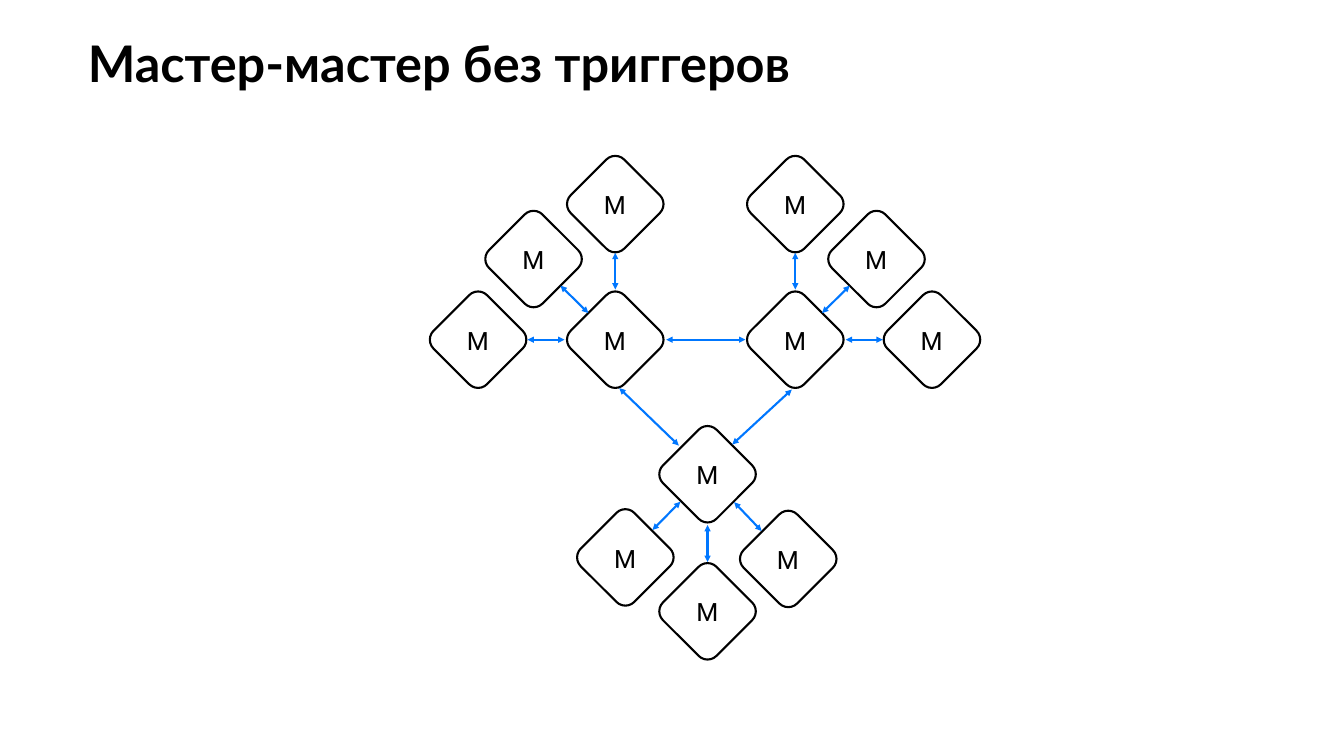
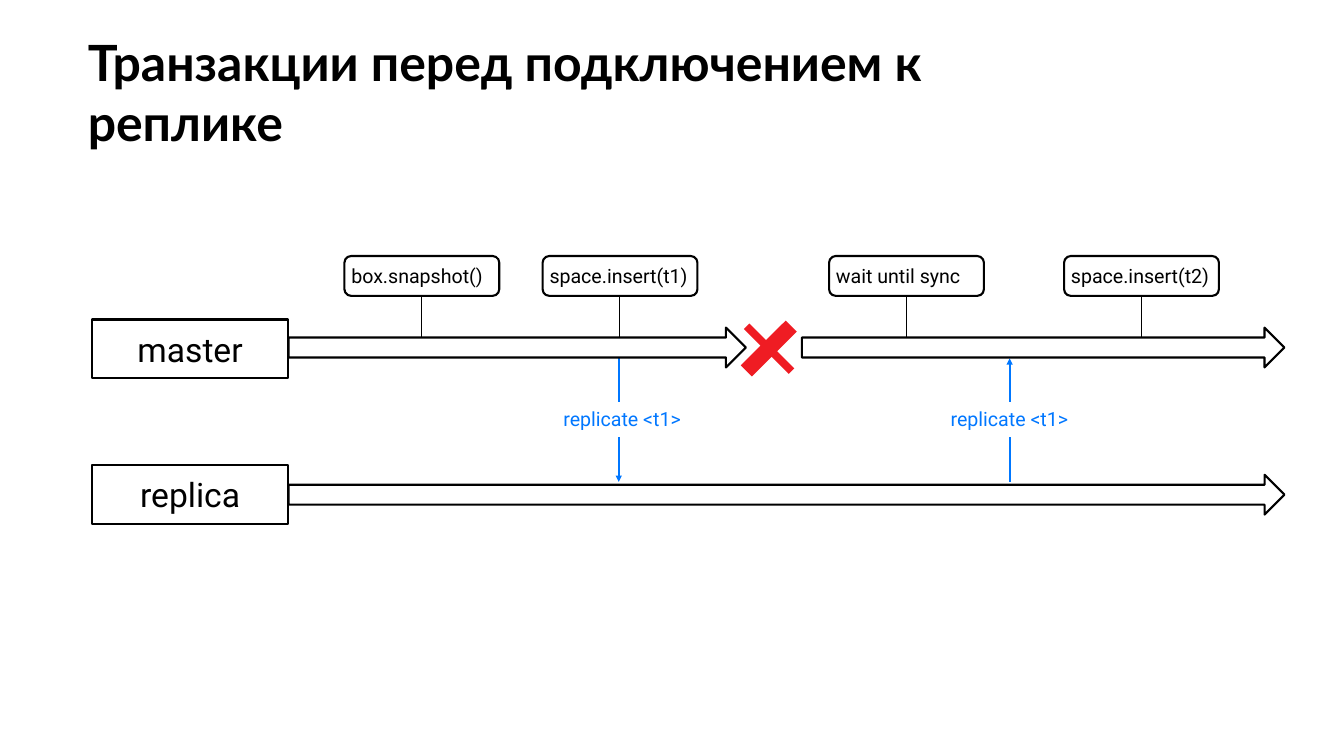
from itertools import product

from lxml import etree
from pptx import Presentation
from pptx import util as u
from pptx.dml.color import RGBColor
from pptx.enum import shapes as es, text as et
from pptx.oxml.ns import qn

# Shared grid (square cells of one inch), colours and fonts
COLS, ROWS = 26.65, 15
INK, PAPER, BLUE, RED = "000000", "FFFFFF", "0077FF", "EF1C23"
HEAD, BODY = "Lato", "Roboto"
SHAPE, ALIGN, ANCHOR = es.MSO_SHAPE, et.PP_ALIGN, et.MSO_ANCHOR


def cell(n):
    return u.Inches(n)


def tint(target, color):
    target.rgb = RGBColor.from_string(color)


def write(shape, words, size, color=INK, font=BODY, bold=False,
          align=ALIGN.CENTER, anchor=ANCHOR.MIDDLE, pad=(0.1, 0.1), wrap=True):
    frame = shape.text_frame
    frame.text = words
    frame.word_wrap = wrap
    frame.auto_size = et.MSO_AUTO_SIZE.NONE
    frame.vertical_anchor = anchor
    frame.margin_left = frame.margin_right = cell(pad[0])
    frame.margin_top = frame.margin_bottom = cell(pad[1])
    para = frame.paragraphs[0]
    para.alignment = align
    run = para.runs[0].font
    run.name, run.size, run.bold = font, u.Pt(size), bold
    tint(run.color, color)


def paint(shape, fill=None, line=None):
    shape.shadow.inherit = False
    if fill:
        shape.fill.solid()
        tint(shape.fill.fore_color, fill)
    else:
        shape.fill.background()
    if line:
        tint(shape.line.color, line)
        shape.line.width = u.Pt(3)
    else:
        shape.line.fill.background()


def draw(slide, kind, left, top, wide, high, fill=None, line=INK):
    shape = slide.shapes.add_shape(kind, *map(cell, (left, top, wide, high)))
    paint(shape, fill, line)
    return shape


def link(slide, start, end, color=BLUE, width=3, ends=("head", "tail")):
    wire = slide.shapes.add_connector(
        es.MSO_CONNECTOR.STRAIGHT, *map(cell, (*start, *end)))
    tint(wire.line.color, color)
    wire.line.width = u.Pt(width)
    props = wire.element.spPr
    for end_name in ends:
        tip = etree.SubElement(props.find(qn("a:ln")), qn(f"a:{end_name}End"))
        tip.set("type", "triangle")
    etree.SubElement(props, qn("a:effectLst"))


def start(deck, words, size, wide, high):
    """Add a slide with its title."""
    slide = deck.slides.add_slide(deck.slide_layouts[5])
    title = slide.shapes.title
    title.left, title.top = cell(1.74), cell(0.63)
    title.width, title.height = cell(wide), cell(high)
    write(title, words, size, font=HEAD, bold=True, align=ALIGN.LEFT,
          anchor=ANCHOR.TOP, pad=(0, 0))
    return slide


# Mesh of masters
SIDE = 1.5
HUBS = {
    (3.8, 3.74): [(-2.72, 0), (-1.62, -1.6), (0, -2.69)],
    (7.37, 3.74): [(2.71, 0), (1.61, -1.6), (0, -2.69)],
    (5.63, 6.41): [(-1.63, 1.65), (0, 2.72), (1.6, 1.68)],
}
RING = [((5.06, 5.84), (3.88, 4.7)), ((4.81, 3.74), (6.38, 3.74)),
        ((7.3, 4.73), (6.12, 5.82))]


def node(slide, x, y):
    diamond = draw(slide, SHAPE.ROUNDED_RECTANGLE,
                   x - SIDE / 2, y - SIDE / 2, SIDE, SIDE)
    diamond.rotation = 45
    label = slide.shapes.add_textbox(
        *map(cell, (x - 0.34, y - 0.4, 0.67, 0.82)))
    write(label, "М", 36, wrap=False)


def mesh(slide, left, top):
    for (x, y), spokes in HUBS.items():
        x, y = left + x, top + y
        node(slide, x, y)
        for dx, dy in spokes:
            node(slide, x + dx, y + dy)
            # Diagonal gaps between diamonds are a little longer
            near, far = (0.33, 0.67) if dx and dy else (0.37, 0.64)
            link(slide, (x + near * dx, y + near * dy),
                 (x + far * dx, y + far * dy))
    for ends in RING:
        link(slide, *((left + x, top + y) for x, y in ends))


# Replication timeline
LANES = [("master", 1.26, 1.42, [(3.89, 9.07), (14.07, 9.57)]),
         ("replica", 4.15, 4.34, [(3.89, 19.75)])]
EVENTS = [("box.snapshot()", 5), ("space.insert(t1)", 8.93),
          ("wait until sync", 14.61), ("space.insert(t2)", 19.27)]
COPIES = [(10.44, 8.95, 2.03, 4.48), (18.19, 16.63, 4.48, 2.03)]
CROSS = [(0.34, -0.53), (0.56, -0.31), (0.17, 0.08), (0.51, 0.42),
         (0.4, 0.53), (0.06, 0.19), (-0.33, 0.58), (-0.55, 0.36),
         (-0.16, -0.03), (-0.49, -0.36), (-0.38, -0.47), (-0.05, -0.14)]


def cross(slide, x, y):
    dots = [(cell(x + dx), cell(y + dy)) for dx, dy in CROSS]
    pen = slide.shapes.build_freeform(*dots[0])
    pen.add_line_segments(dots[1:], close=True)
    paint(pen.convert_to_shape(), RED)


def timeline(slide, left, top):
    # Replication steps between the lanes
    for x, text_x, y1, y2 in COPIES:
        link(slide, (left + x, top + y1), (left + x, top + y2), ends=("tail",))
        note = draw(slide, SHAPE.RECTANGLE, left + text_x, top + 2.9,
                    3.11, 0.69, PAPER, None)
        write(note, "replicate <t1>", 28, BLUE, anchor=ANCHOR.TOP)
    # Events above the master lane
    for words, x in EVENTS:
        stem = left + x + 1.53
        link(slide, (stem, top + 0.78), (stem, top + 1.7), INK, 2, ())
        event = draw(slide, SHAPE.ROUNDED_RECTANGLE, left + x, top,
                     3.07, 0.79, PAPER)
        write(event, words, 28, align=ALIGN.LEFT, pad=(0.1, 0))
    # Lanes
    for words, y, bar_y, bars in LANES:
        name = draw(slide, SHAPE.RECTANGLE, left, top + y, 3.88, 1.16, PAPER)
        write(name, words, 48)
        for x, wide in bars:
            draw(slide, SHAPE.RIGHT_ARROW, left + x, top + bar_y,
                 wide, 0.79, PAPER)
    # Lost connection
    cross(slide, left + 13.41, top + 1.81)


def main():
    deck = Presentation()
    deck.slide_width, deck.slide_height = cell(COLS), cell(ROWS)
    mesh(start(deck, "Мастер-мастер без триггеров", 72, 23.22, 1.59), 8.4, 3)
    timeline(start(deck, "Транзакции перед подключением к реплике",
                   71.3, 19.37, 2.87), 1.83, 5.08)
    deck.save("out.pptx")


if __name__ == "__main__":
    main()
